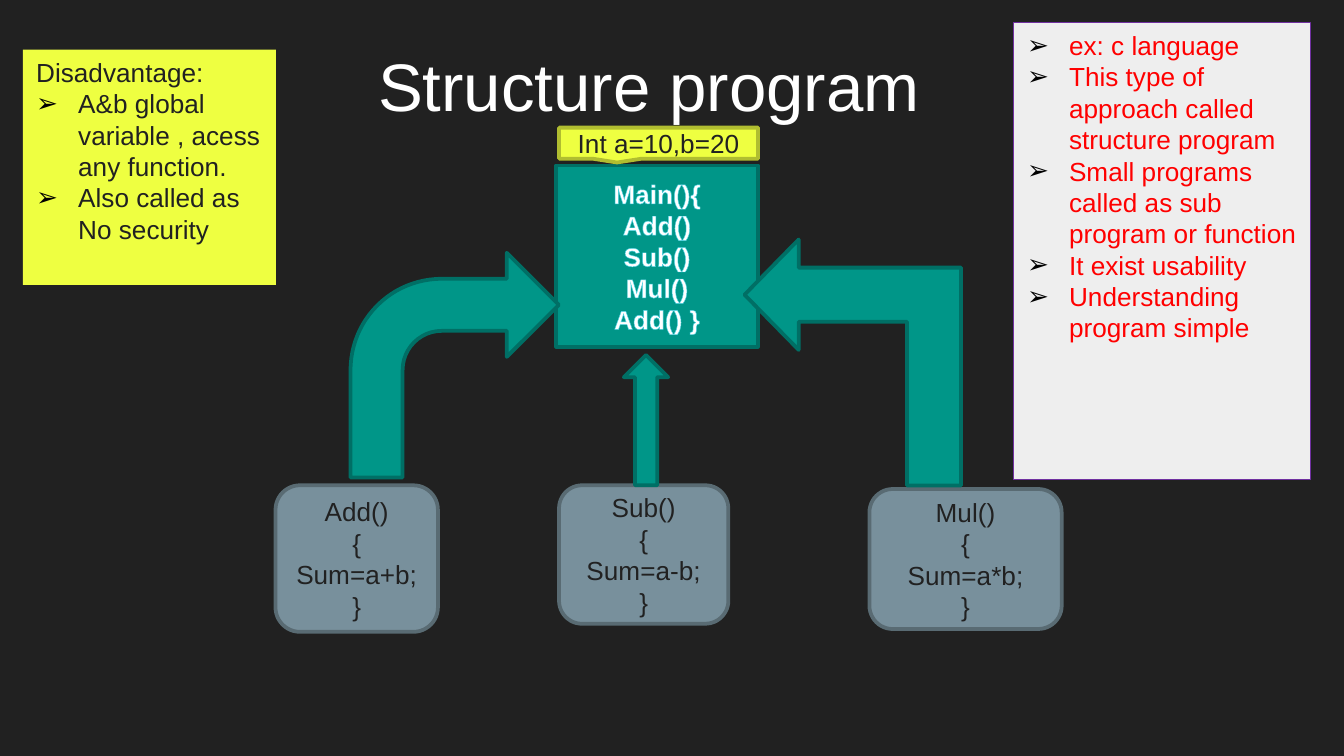
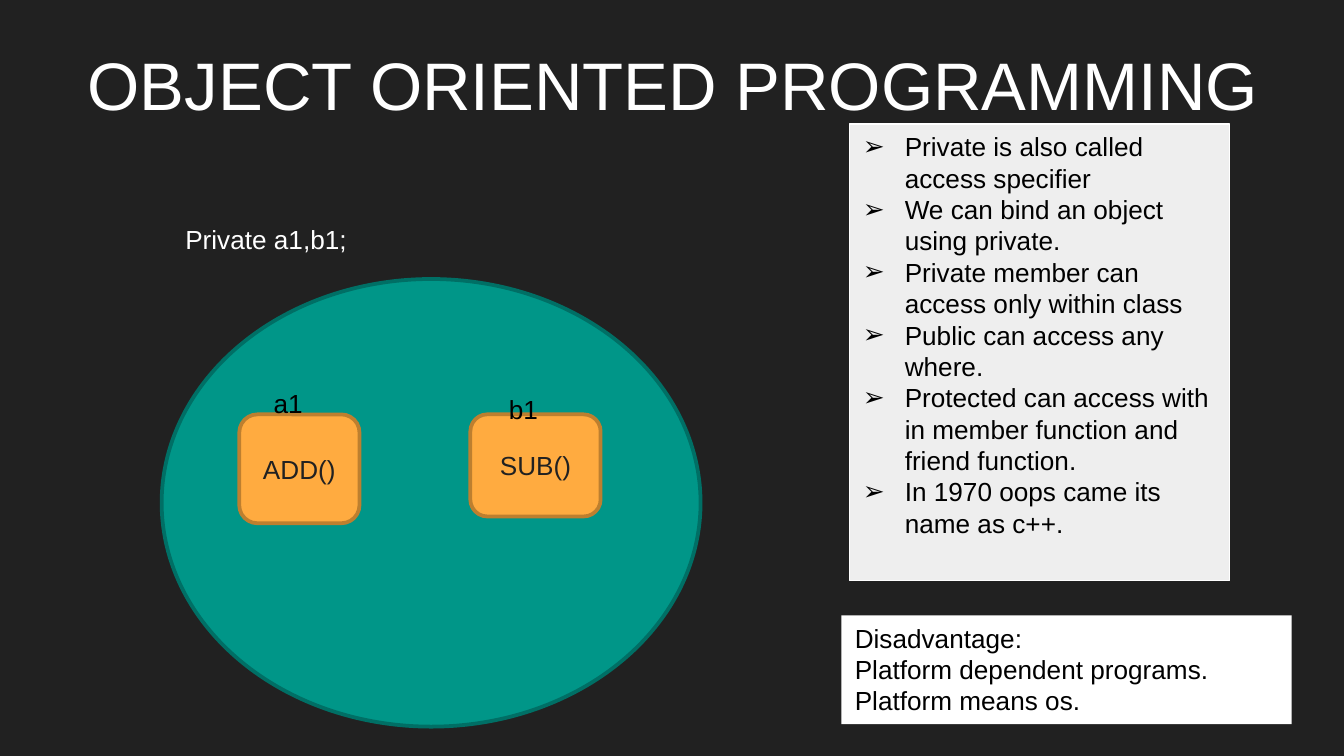
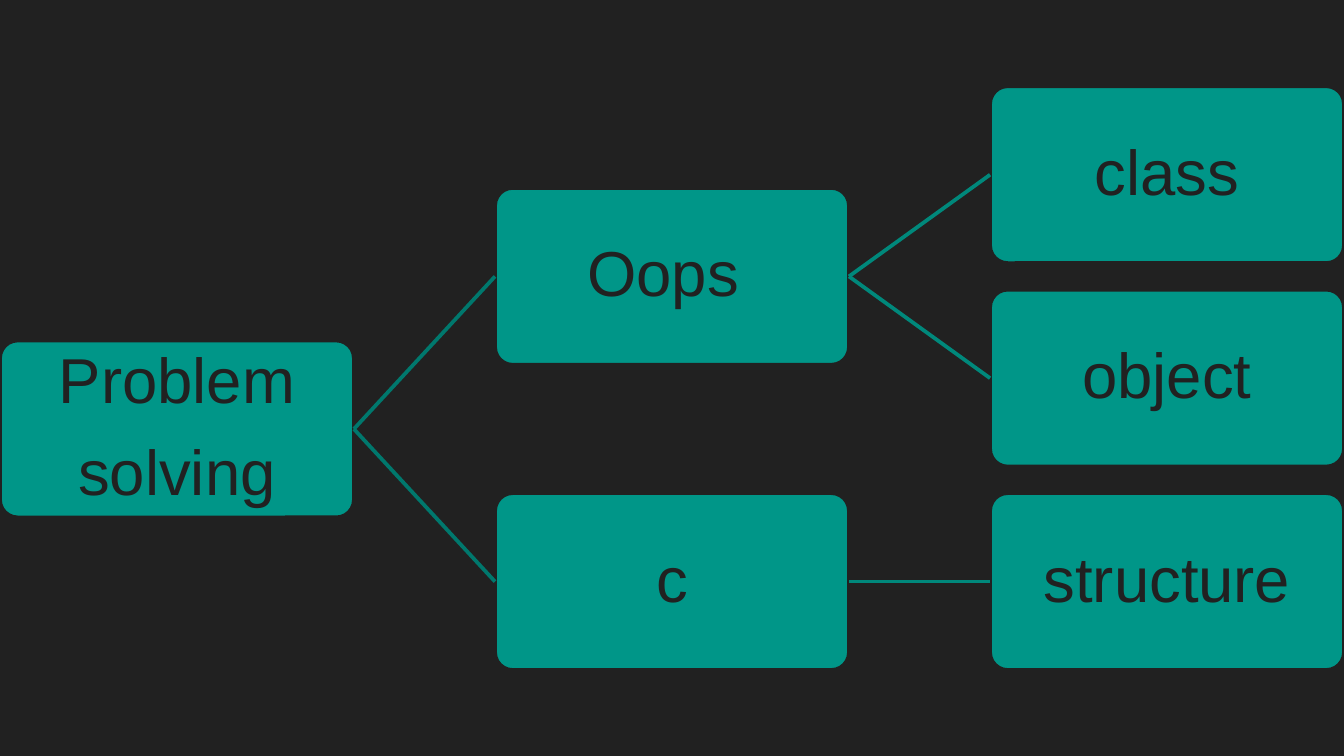
from dataclasses import dataclass
from typing import Optional

from lxml.etree import SubElement
from pptx import Presentation
from pptx.dml.color import RGBColor
from pptx.enum.shapes import MSO_CONNECTOR, MSO_SHAPE as SHAPE
from pptx.enum.text import MSO_ANCHOR as ANCHOR, MSO_AUTO_SIZE, PP_ALIGN as ALIGN
from pptx.oxml import parse_xml
from pptx.oxml.ns import nsdecls, qn
from pptx.util import Pt

# Shared look
FONT = "Arial"
DARK = RGBColor(0x21, 0x21, 0x21)
WHITE = RGBColor(0xFF, 0xFF, 0xFF)
BLACK = RGBColor(0x00, 0x00, 0x00)
RED = RGBColor(0xFF, 0x00, 0x00)
TEAL = RGBColor(0x00, 0x96, 0x88)
TEAL_EDGE = RGBColor(0x00, 0x6F, 0x65)
SLATE = RGBColor(0x78, 0x90, 0x9C)
SLATE_EDGE = RGBColor(0x59, 0x6B, 0x73)
YELLOW = RGBColor(0xEE, 0xFF, 0x41)
YELLOW_EDGE = RGBColor(0xB0, 0xBD, 0x30)
ORANGE = RGBColor(0xFF, 0xAB, 0x40)
ORANGE_EDGE = RGBColor(0xBD, 0x7F, 0x2F)
PALE = RGBColor(0xEE, 0xEE, 0xEE)
PURPLE = RGBColor(0x70, 0x30, 0xA0)
CYAN = RGBColor(0x4D, 0xD0, 0xE1)
LINK_FIRST = RGBColor(0x00, 0x78, 0x6D)
LINK_SECOND = RGBColor(0x00, 0x88, 0x7B)
LAYOUT_TWO_LISTS, LAYOUT_BLANK = 3, 6
BULLET, BULLET_INDENT = "➢", 22.5

Frame = tuple[float, float, float, float]


@dataclass
class Box:
    """A preset shape with optional centred text; lengths in points."""
    kind: SHAPE
    at: Frame
    fill: RGBColor
    edge: RGBColor
    text: str = ""
    color: RGBColor = DARK
    size: float = 14
    bold: bool = False
    rotation: float = 0
    adjust: tuple[float, ...] = ()


@dataclass
class Panel:
    """A filled list: an optional heading, bulleted items or plain lines."""
    at: Frame
    fill: RGBColor
    items: tuple[str, ...]
    color: RGBColor
    heading: str = ""
    edge: Optional[RGBColor] = None
    bulleted: bool = True


@dataclass
class Node:
    """A box of the tree; row may be fractional, between its children."""
    text: str
    column: int
    row: float
    parent: Optional[int] = None


def place(sp, at: Frame) -> None:
    sp.left, sp.top, sp.width, sp.height = (Pt(v) for v in at)


def write(tf, text: str, color: RGBColor, size: float = 14,
          align: ALIGN = ALIGN.LEFT, anchor: ANCHOR = ANCHOR.TOP,
          bold: bool = False, insets: tuple[float, float] = (7.2, 3.6)) -> None:
    tf.text = text
    tf.word_wrap = True
    tf.auto_size = MSO_AUTO_SIZE.NONE
    tf.vertical_anchor = anchor
    tf.margin_left = tf.margin_right = Pt(insets[0])
    tf.margin_top = tf.margin_bottom = Pt(insets[1])
    for p in tf.paragraphs:
        p.alignment = align
        p.space_before = Pt(0)
        for r in p.runs:
            r.font.name, r.font.size, r.font.bold = FONT, Pt(size), bold
            r.font.color.rgb = color


def outline_text(tf, color: RGBColor) -> None:
    for p in tf.paragraphs:
        for r in p.runs:
            r.font._element.insert(0, parse_xml(
                f'<a:ln {nsdecls("a")} w="10160"><a:solidFill>'
                f'<a:srgbClr val="{color}"/></a:solidFill></a:ln>'))


def set_bullet(p, bulleted: bool) -> None:
    pPr = p._p.get_or_add_pPr()
    indent = int(Pt(BULLET_INDENT)) if bulleted else 0
    pPr.set("marL", str(indent))
    pPr.set("indent", str(-indent))
    if not bulleted:
        SubElement(pPr, qn("a:buNone"))
        return
    SubElement(SubElement(pPr, qn("a:buClr")), qn("a:srgbClr"), val=str(BLACK))
    SubElement(pPr, qn("a:buFont"), typeface=FONT)
    SubElement(pPr, qn("a:buChar"), char=BULLET)


def add_box(slide, box: Box):
    sp = slide.shapes.add_shape(box.kind, *(Pt(v) for v in box.at))
    sp.shadow.inherit = False
    sp.rotation = box.rotation
    for i, value in enumerate(box.adjust):
        sp.adjustments[i] = value
    sp.fill.solid()
    sp.fill.fore_color.rgb = box.fill
    sp.line.color.rgb = box.edge
    sp.line.width = Pt(2)
    if box.text:
        write(sp.text_frame, box.text, box.color, box.size, ALIGN.CENTER,
              ANCHOR.MIDDLE, box.bold)
    return sp


def fill_panel(sp, panel: Panel) -> None:
    place(sp, panel.at)
    sp.fill.solid()
    sp.fill.fore_color.rgb = panel.fill
    if panel.edge is None:
        sp.line.fill.background()
    else:
        sp.line.color.rgb = panel.edge
        sp.line.width = Pt(0.75)
    lines = ((panel.heading,) if panel.heading else ()) + panel.items
    write(sp.text_frame, "\n".join(lines), panel.color)
    for i, p in enumerate(sp.text_frame.paragraphs):
        set_bullet(p, panel.bulleted and not (panel.heading and i == 0))


def add_label(slide, text: str, at: Frame, color: RGBColor) -> None:
    sp = slide.shapes.add_textbox(*(Pt(v) for v in at))
    write(sp.text_frame, text, color)


def add_list_slide(prs, title: str, title_at: Frame, panels: list[Panel]):
    slide = prs.slides.add_slide(prs.slide_layouts[LAYOUT_TWO_LISTS])
    sp = slide.shapes.title
    place(sp, title_at)
    write(sp.text_frame, title, WHITE, 36, ALIGN.CENTER, ANCHOR.MIDDLE,
          insets=(7.2, 7.2))
    for idx, panel in enumerate(panels, start=1):
        fill_panel(slide.placeholders[idx], panel)
    return slide


def add_link(slide, parent, child, color: RGBColor) -> None:
    line = slide.shapes.add_connector(MSO_CONNECTOR.STRAIGHT, 0, 0, 0, 0)
    line.begin_connect(parent, 3)  # right side
    line.end_connect(child, 1)  # left side
    line.line.color.rgb = color
    line.line.width = Pt(2)
    SubElement(line._element.spPr, qn("a:effectLst"))


prs = Presentation()
prs.slide_width, prs.slide_height = Pt(720), Pt(405)
background = prs.slide_master.background.fill
background.solid()
background.fore_color.rgb = DARK

# Slide 1: structure program
slide = add_list_slide(prs, "Structure program", (12.2, 12.2, 671, 66.2), [
    Panel((543, 12.2, 159, 244.8), PALE, (
        "ex: c language",
        "This type of approach called structure program",
        "Small programs called as sub program or function",
        "It exist usability",
        "Understanding program simple"), RED, edge=PURPLE),
    Panel((12.2, 26.6, 135.6, 126), YELLOW, (
        "A&b global variable , acess any function.",
        "Also called as No security"), DARK, heading="Disadvantage:"),
])
main = add_box(slide, Box(
    SHAPE.RECTANGLE, (298, 88.6, 108, 97.2), TEAL, TEAL_EDGE,
    "Main(){\nAdd()\nSub()\nMul()\nAdd() }", WHITE, bold=True))
outline_text(main.text_frame, CYAN)
for name, sign, at in (("Add", "+", (147.6, 260, 87, 78.5)),
                       ("Sub", "-", (299.5, 260, 90.7, 74.2)),
                       ("Mul", "*", (465.8, 262, 103, 75))):
    add_box(slide, Box(SHAPE.ROUNDED_RECTANGLE, at, SLATE, SLATE_EDGE,
                       f"{name}()\n{{\nSum=a{sign}b;\n}}"))
for arrow in (
        Box(SHAPE.BENT_ARROW, (187.8, 135.4, 111.6, 120.4), TEAL, TEAL_EDGE),
        Box(SHAPE.UP_ARROW, (334.2, 190.2, 23.8, 69.8), TEAL, TEAL_EDGE),
        Box(SHAPE.BENT_UP_ARROW, (391, 136.2, 131.8, 116), TEAL, TEAL_EDGE,
            rotation=270, adjust=(0.25, 0.255, 0.25)),
        Box(SHAPE.RECTANGULAR_CALLOUT, (299.5, 68.4, 106.6, 16.6), YELLOW,
            YELLOW_EDGE, "Int a=10,b=20")):
    add_box(slide, arrow)

# Slide 2: object oriented programming
slide = add_list_slide(
    prs, "OBJECT ORIENTED PROGRAMMING", (25.2, 11.5, 671, 66.2), [
        Panel((455, 66.4, 203.8, 244.8), PALE, (
            "Private is also called access specifier",
            "We can bind an object using private.",
            "Private member can access only within class",
            "Public can access any where.",
            "Protected can access with in member function and friend function.",
            "In 1970 oops came its name as c++."), BLACK, edge=WHITE),
        Panel((450.7, 329.6, 241.2, 58.3), WHITE, (
            "Platform dependent programs.",
            "Platform means os."), BLACK,
            heading="Disadvantage:", bulleted=False),
    ])
add_box(slide, Box(SHAPE.OVAL, (86.6, 149.5, 288.7, 239.8), TEAL, TEAL_EDGE))
for text, at in (("ADD()", (128.2, 222, 64.4, 58.3)),
                 ("SUB()", (252, 222, 69.8, 54.7))):
    add_box(slide, Box(SHAPE.ROUNDED_RECTANGLE, at, ORANGE, ORANGE_EDGE, text))
add_label(slide, "Private a1,b1;", (92.2, 116, 224, 24.2), WHITE)
add_label(slide, "a1", (139.5, 203.8, 36, 24.2), BLACK)
add_label(slide, "b1", (265.5, 207.4, 36, 24.2), BLACK)

# Slide 3: problem solving tree
NODE_W, NODE_H = 189.6, 94.8
COLUMN_STEP = (720 - NODE_W) / 2
TREE_TOP, ROW_STEP = 46.2, 109
TREE = [
    Node("Problem\nsolving", 0, 1.25),
    Node("Oops ", 1, 0.5, parent=0),
    Node("class", 2, 0, parent=1),
    Node("object", 2, 1, parent=1),
    Node("c", 1, 2, parent=0),
    Node("structure", 2, 2, parent=4),
]
slide = prs.slides.add_slide(prs.slide_layouts[LAYOUT_BLANK])
boxes = []
for node in TREE:
    at = (node.column * COLUMN_STEP, TREE_TOP + node.row * ROW_STEP,
          NODE_W, NODE_H)
    sp = add_box(slide, Box(SHAPE.ROUNDED_RECTANGLE, at, TEAL, DARK, node.text,
                            size=34, adjust=(0.1,)))
    tf = sp.text_frame
    tf.margin_top = tf.margin_bottom = Pt(1.5)
    for p in tf.paragraphs:
        p.line_spacing = 0.9
        p.space_after = Pt(13)
    boxes.append(sp)
for node, sp in zip(TREE, boxes):
    if node.parent is not None:
        add_link(slide, boxes[node.parent], sp,
                 LINK_FIRST if node.column == 1 else LINK_SECOND)

prs.save("out.pptx")
